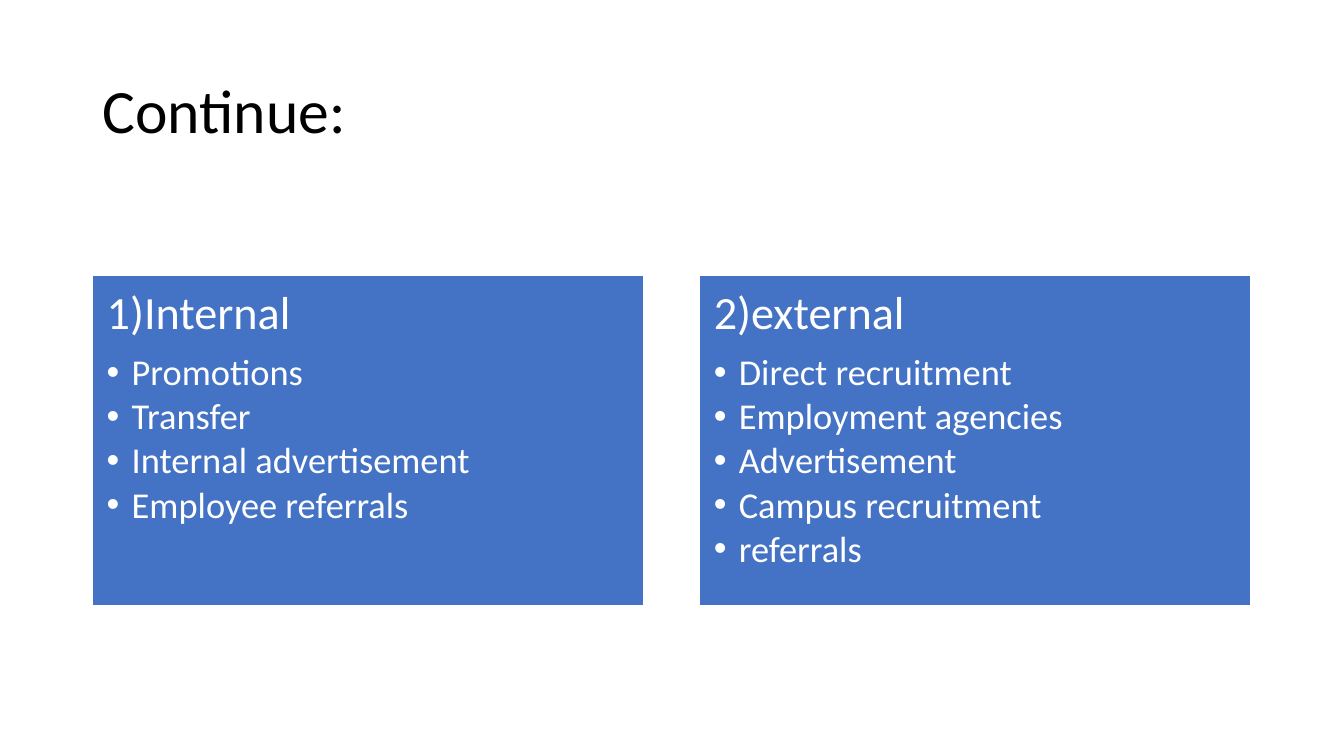
from lxml import etree
from pptx import Presentation
from pptx.dml.color import RGBColor
from pptx.enum.shapes import MSO_SHAPE
from pptx.enum.text import MSO_ANCHOR, PP_ALIGN
from pptx.oxml.ns import qn
from pptx.util import Cm, Pt

RECTANGLE = MSO_SHAPE.RECTANGLE
TOP, MIDDLE = MSO_ANCHOR.TOP, MSO_ANCHOR.MIDDLE
LEFT = PP_ALIGN.LEFT

COLORS = {"title": "000000", "panel": "4472C4", "white": "FFFFFF"}
MARGIN, PANEL_TOP = 2.33, 6.94
PANEL_WIDTH, PANEL_HEIGHT, PANEL_GAP = 13.89, 8.33, 1.41
PANEL_INSET, BULLET_INDENT = 0.36, 0.63

SOURCES = [
    ("1)Internal", ["Promotions", "Transfer", "Internal advertisement",
                    "Employee referrals"]),
    ("2)external", ["Direct recruitment", "Employment agencies", "Advertisement",
                    "Campus recruitment", "referrals"]),
]


class SlideBuilder:
    font_name = "Calibri"

    def __init__(self, slide):
        self.slide = slide

    def color(self, key):
        return RGBColor.from_string(COLORS[key])

    def set_text(self, paragraph, text, size, color, space_after=0):
        paragraph.text = text
        paragraph.alignment = LEFT
        paragraph.line_spacing = 0.9
        paragraph.space_after = Pt(space_after)
        paragraph.font.name = self.font_name
        paragraph.font.size = Pt(size)
        paragraph.font.color.rgb = self.color(color)

    def add_bullet(self, paragraph):
        paragraph.level = 1
        properties = paragraph._p.get_or_add_pPr()
        properties.set("marL", str(Cm(BULLET_INDENT)))
        properties.set("indent", str(-Cm(BULLET_INDENT)))
        etree.SubElement(properties, qn("a:buFont")).set("typeface", "Arial")
        etree.SubElement(properties, qn("a:buChar")).set("char", "•")

    def title(self, text, left, top, width, height):
        heading = self.slide.shapes.add_textbox(Cm(left), Cm(top), Cm(width), Cm(height))
        frame = heading.text_frame
        frame.word_wrap = True
        frame.vertical_anchor = MIDDLE
        self.set_text(frame.paragraphs[0], text, 44, "title")

    def panel(self, heading, items, left, top, width, height):
        panel = self.slide.shapes.add_shape(
            RECTANGLE, Cm(left), Cm(top), Cm(width), Cm(height))
        panel.shadow.inherit = False
        panel.fill.solid()
        panel.fill.fore_color.rgb = self.color("panel")
        panel.line.color.rgb = self.color("white")
        panel.line.width = Pt(1)
        frame = panel.text_frame
        frame.word_wrap = True
        frame.vertical_anchor = TOP
        frame.margin_left = frame.margin_right = Cm(PANEL_INSET)
        frame.margin_top = frame.margin_bottom = Cm(PANEL_INSET)
        self.set_text(frame.paragraphs[0], heading, 33, "white", 10.4)
        for item in items:
            entry = frame.add_paragraph()
            self.add_bullet(entry)
            self.set_text(entry, item, 26, "white", 3.5)


def main():
    presentation = Presentation()
    presentation.slide_width = Cm(33.87)
    presentation.slide_height = Cm(19.05)
    builder = SlideBuilder(presentation.slides.add_slide(presentation.slide_layouts[6]))
    builder.title("Continue:", MARGIN, 1.01, 29.21, 3.68)
    for column, (heading, items) in enumerate(SOURCES):
        left = MARGIN + column * (PANEL_WIDTH + PANEL_GAP)
        builder.panel(heading, items, left, PANEL_TOP, PANEL_WIDTH, PANEL_HEIGHT)
    presentation.save("out.pptx")


if __name__ == "__main__":
    main()
